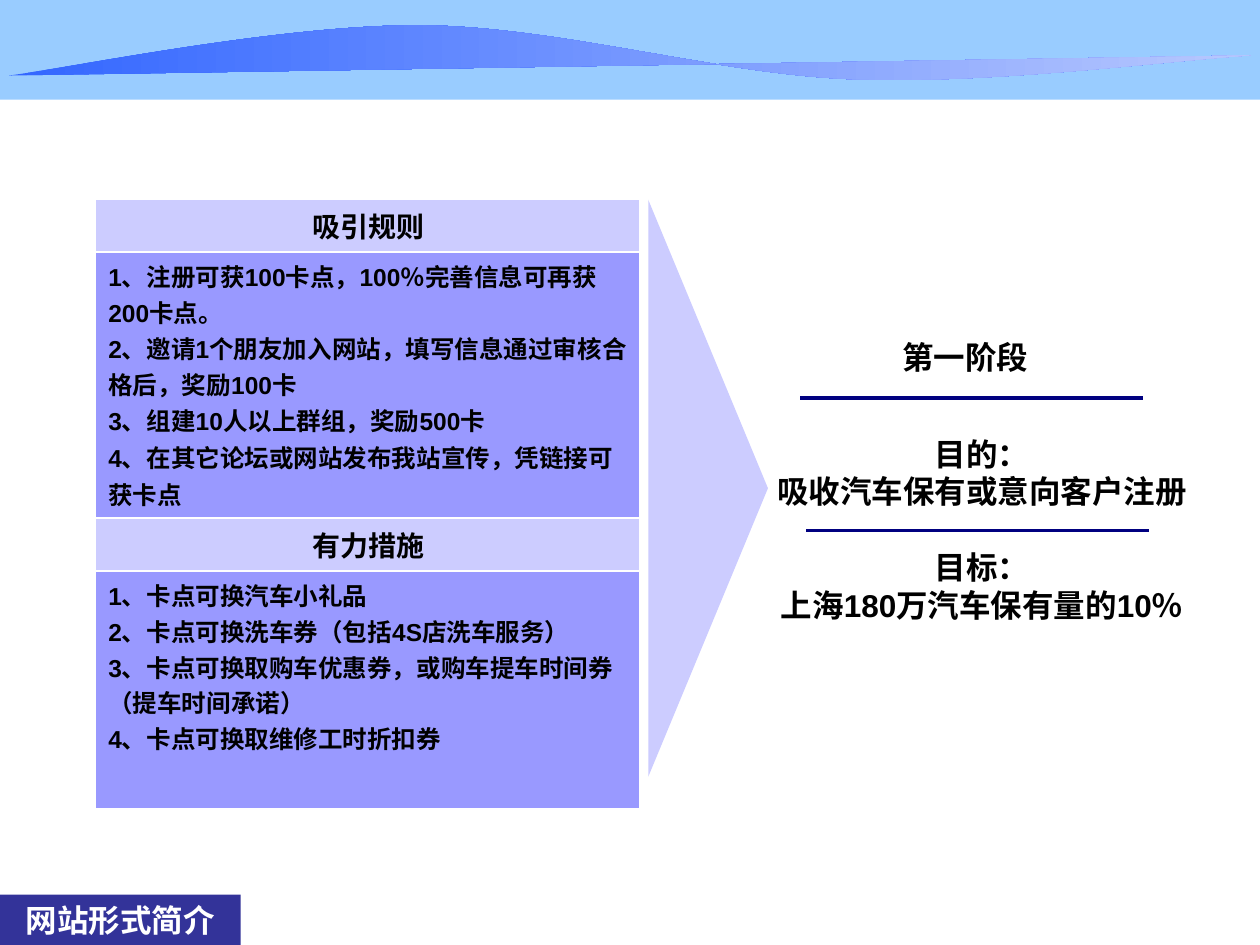
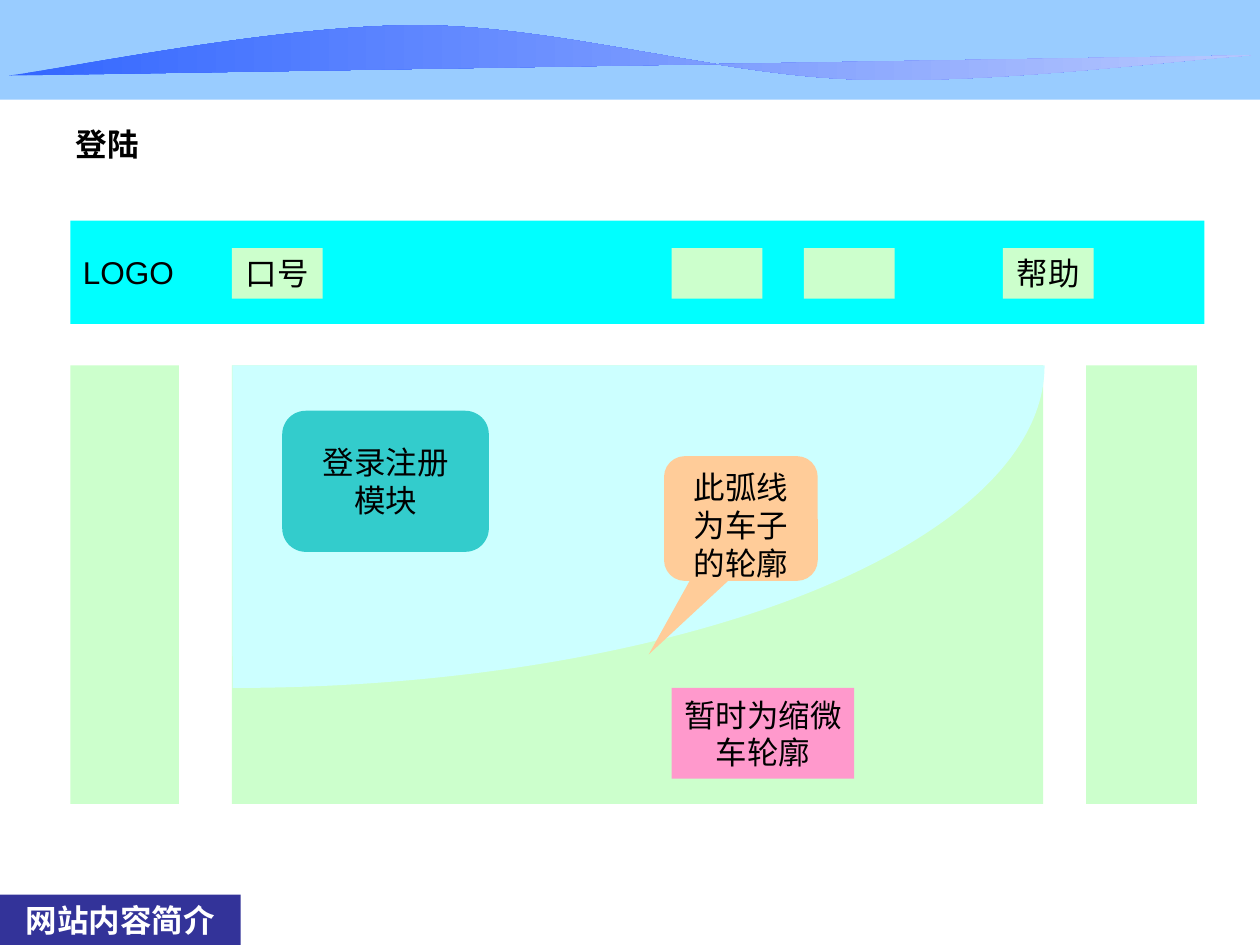
from lxml import etree
from pptx import Presentation
from pptx.dml import color
from pptx.enum import shapes, text
from pptx.oxml import ns
from pptx.util import Inches, Pt

FONT = "Arial"
TITLE_ONLY, BLANK = 5, 6
COLORS = {
    "black": "000000", "white": "FFFFFF", "band": "99CCFF",
    "wave_start": "3366FF", "wave_end": "B7C8FE", "tag": "333399",
    "header": "CCCCFF", "body": "9999FF", "rule": "000080",
    "green": "CCFFCC", "sky": "CCFFFF", "cyan": "00FFFF",
    "teal": "33CCCC", "orange": "FFCC99", "pink": "FF99CC",
}

WAVE_START = (0.07, 0.6)
WAVE_CURVES = [
    [(0.61, 0.53), (2.21, 0.2), (3.33, 0.2)],
    [(4.45, 0.21), (5.68, 0.59), (6.78, 0.63)],
    [(7.88, 0.67), (9.28, 0.48), (9.93, 0.44)],
]

RULES_TITLE = "吸引规则"
RULES = [
    "1、注册可获100卡点，100％完善信息可再获200卡点。",
    "2、邀请1个朋友加入网站，填写信息通过审核合格后，奖励100卡",
    "3、组建10人以上群组，奖励500卡",
    "4、在其它论坛或网站发布我站宣传，凭链接可获卡点",
]
MEASURES_TITLE = "有力措施"
MEASURES = [
    "1、卡点可换汽车小礼品",
    "2、卡点可换洗车券（包括4S店洗车服务）",
    "3、卡点可换取购车优惠券，或购车提车时间券（提车时间承诺）",
    "4、卡点可换取维修工时折扣券",
]
TABLE_ROWS = [
    (0.41, [RULES_TITLE], True),
    (2.01, RULES, False),
    (0.41, [MEASURES_TITLE], True),
    (1.89, MEASURES, False),
]
STAGE = ["第一阶段"]
GOALS = ["目的：", "吸收汽车保有或意向客户注册", "目标：", "上海180万汽车保有量的10％"]
STAGE_RULES = [(6.35, 3.16), (6.4, 4.21)]
STAGE_RULE_LENGTH = 2.72

LOGIN_TITLE = "登陆"
PAGE_PANELS = [(1.84, 6.44), (0.56, 0.86), (8.62, 0.88)]
PANEL_TOP, PANEL_HEIGHT = 2.9, 3.48
MENU_BUTTONS = [(1.84, "口号"), (5.33, ""), (6.38, ""), (7.96, "帮助")]


def rgb(name):
    return color.RGBColor.from_string(COLORS[name])


def write(shape, lines, size=18, bold=False, ink="black", align=text.PP_ALIGN.CENTER,
          anchor=text.MSO_ANCHOR.MIDDLE, wrap=False):
    frame = shape.text_frame
    frame.text = "\n".join(lines)
    frame.word_wrap = wrap
    frame.auto_size = text.MSO_AUTO_SIZE.NONE
    frame.vertical_anchor = anchor
    format_paragraphs(frame, size, bold, ink, align)


def format_paragraphs(frame, size, bold, ink, align):
    for paragraph in frame.paragraphs:
        paragraph.alignment = align
        for run in paragraph.runs:
            run.font.name = FONT
            run.font.size = Pt(size)
            run.font.bold = bold
            run.font.color.rgb = rgb(ink)


def paint(shape, fill):
    shape.shadow.inherit = False
    shape.line.fill.background()
    shape.fill.solid()
    shape.fill.fore_color.rgb = rgb(fill)
    return shape


def add_block(parent, box, fill, kind=shapes.MSO_SHAPE.RECTANGLE):
    return paint(parent.shapes.add_shape(kind, *map(Inches, box)), fill)


def add_label(slide, box, lines):
    label = slide.shapes.add_textbox(*map(Inches, box))
    write(label, lines, bold=True, anchor=text.MSO_ANCHOR.TOP)
    return label


def add_curved_outline(parent, start, curves, fill):
    builder = parent.shapes.build_freeform(*map(Inches, start))
    points = [(Inches(x), Inches(y)) for curve in curves for x, y in curve]
    builder.add_line_segments(points, close=True)
    outline = paint(builder.convert_to_shape(), fill)
    segments = list(outline._element.iter(ns.qn("a:lnTo")))
    for first in range(0, len(segments), 3):
        bezier = etree.Element(ns.qn("a:cubicBezTo"))
        segments[first].addprevious(bezier)
        for segment in segments[first:first + 3]:
            bezier.append(segment[0])
            segment.getparent().remove(segment)
    return outline


def add_frame(slide, tag_text):
    band = slide.shapes.add_group_shape()
    add_block(band, (0, 0, 10, 0.79), "band")
    wave = add_curved_outline(band, WAVE_START, WAVE_CURVES, "band")
    wave.fill.gradient()
    wave.fill.gradient_angle = 0
    for stop, name, position in zip(wave.fill.gradient_stops, ("wave_start", "wave_end"), (0, 1)):
        stop.color.rgb = rgb(name)
        stop.position = position
    tag = add_block(slide, (0, 7.1, 1.91, 0.4), "tag")
    write(tag, [tag_text], bold=True, ink="white", anchor=text.MSO_ANCHOR.TOP, wrap=True)


def add_cell_borders(cell):
    properties = cell._tc.get_or_add_tcPr()
    for side in ("a:lnT", "a:lnB"):
        border = etree.SubElement(properties, ns.qn(side), w=str(Pt(1.47)))
        fill = etree.SubElement(border, ns.qn("a:solidFill"))
        etree.SubElement(fill, ns.qn("a:srgbClr"), val=COLORS["white"])


def add_rules_table(slide):
    height = sum(row[0] for row in TABLE_ROWS)
    frame = slide.shapes.add_table(len(TABLE_ROWS), 1, *map(Inches, (0.76, 1.58, 4.32, height)))
    table = frame.table
    table.first_row = table.horz_banding = False
    for index, (row_height, lines, is_header) in enumerate(TABLE_ROWS):
        table.rows[index].height = Inches(row_height)
        cell = table.cell(index, 0)
        add_cell_borders(cell)
        cell.fill.solid()
        cell.fill.fore_color.rgb = rgb("header" if is_header else "body")
        cell.margin_right = Inches(0.09)
        cell.text_frame.text = "\n".join(lines)
        align = text.PP_ALIGN.CENTER if is_header else text.PP_ALIGN.LEFT
        format_paragraphs(cell.text_frame, 16 if is_header else 14, True, "black", align)
        if lines is RULES:
            for paragraph in cell.text_frame.paragraphs[2:]:
                paragraph.line_spacing = Pt(21)


def build_stage_slide(presentation):
    slide = presentation.slides.add_slide(presentation.slide_layouts[BLANK])
    add_frame(slide, "网站形式简介")
    arrow = add_block(slide, (3.33, 3.4, 4.58, 0.95), "header",
                      shapes.MSO_SHAPE.ISOSCELES_TRIANGLE)
    arrow.rotation = 90
    add_rules_table(slide)
    goals = add_label(slide, (5.98, 3.4, 3.63, 1.9), GOALS)
    goals.text_frame.paragraphs[2].space_before = Pt(21.5)
    add_label(slide, (7.06, 2.63, 1.2, 0.4), STAGE)
    for left, top in STAGE_RULES:
        rule = slide.shapes.add_connector(
            shapes.MSO_CONNECTOR.STRAIGHT,
            *map(Inches, (left, top, left + STAGE_RULE_LENGTH, top)))
        rule.line.color.rgb = rgb("rule")
        rule.line.width = Pt(2)
        etree.SubElement(rule._element.spPr, ns.qn("a:effectLst"))


def build_login_slide(presentation):
    slide = presentation.slides.add_slide(presentation.slide_layouts[TITLE_ONLY])
    title = slide.shapes.title
    title.left, title.top, title.width, title.height = map(Inches, (0.5, 0.94, 0.7, 0.4))
    write(title, [LOGIN_TITLE], bold=True, anchor=text.MSO_ANCHOR.TOP)
    title.text_frame.margin_left = title.text_frame.margin_right = 0

    for left, width in PAGE_PANELS:
        add_block(slide, (left, PANEL_TOP, width, PANEL_HEIGHT), "green")
    car_arc = add_block(slide, (-4.6, 0.34, 12.89, 5.12), "sky", shapes.MSO_SHAPE.ARC)
    car_arc.adjustments[0] = 0
    car_arc.adjustments[1] = 54

    menu = add_block(slide, (0.56, 1.75, 9, 0.82), "cyan")
    write(menu, ["LOGO"], align=text.PP_ALIGN.LEFT)
    for left, caption in MENU_BUTTONS:
        button = add_block(slide, (left, 1.97, 0.72, 0.4), "green")
        if caption:
            write(button, [caption])

    login = add_block(slide, (2.24, 3.26, 1.64, 1.12), "teal",
                      shapes.MSO_SHAPE.ROUNDED_RECTANGLE)
    write(login, ["登录注册", "模块"])
    callout = add_block(slide, (5.27, 3.62, 1.22, 0.99), "orange",
                        shapes.MSO_SHAPE.ROUNDED_RECTANGULAR_CALLOUT)
    callout.adjustments[0] = -0.6
    callout.adjustments[1] = 1.09
    write(callout, ["此弧线为车子的轮廓"], anchor=text.MSO_ANCHOR.TOP, wrap=True)
    note = add_block(slide, (5.33, 5.46, 1.45, 0.72), "pink")
    write(note, ["暂时为缩微", "车轮廓"])
    add_frame(slide, "网站内容简介")


def main():
    presentation = Presentation()
    presentation.slide_width = Inches(10)
    presentation.slide_height = Inches(7.5)
    build_stage_slide(presentation)
    build_login_slide(presentation)
    presentation.save("out.pptx")


if __name__ == "__main__":
    main()
